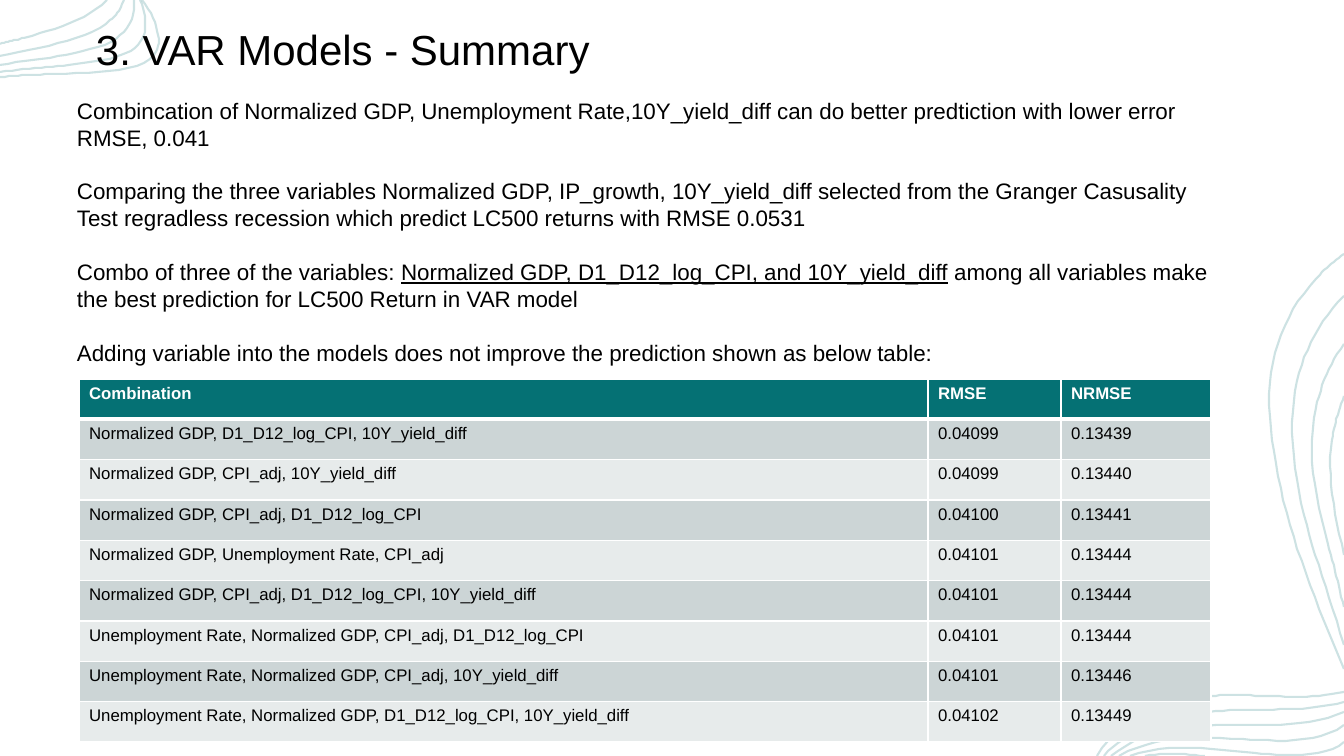
import dataclasses

import pptx
import pptx.dml.color
import pptx.enum.text
import pptx.oxml
import pptx.oxml.ns
import pptx.util


@dataclasses.dataclass(frozen=True)
class Theme:
    teal: str = "057174"
    black: str = "000000"
    white: str = "FFFFFF"
    bands: tuple = ("CCD5D6", "E7EBEB")
    font: str = "Arial"
    title_size: int = 30
    body_size: int = 16
    table_size: int = 12
    body_line: float = 19.2
    curve_width: float = 1.5
    curve_opacity: int = 20


def color(value):
    return pptx.dml.color.RGBColor.from_string(value)


def curve_points(knots, steps=12):
    """Sample a chain of cubic curves: a start, then two handles and an end each."""
    points = [knots[0]]
    for first in range(0, len(knots) - 1, 3):
        a, b, c, d = knots[first:first + 4]
        for step in range(1, steps + 1):
            t = step / steps
            u = 1 - t
            points.append(tuple(
                u ** 3 * a[k] + 3 * u * u * t * b[k] + 3 * u * t * t * c[k] + t ** 3 * d[k]
                for k in (0, 1)))
    return points


class SlideBuilder:
    SCALE = 914400 / 100.8

    def __init__(self, page, theme):
        self.page = page
        self.theme = theme

    @classmethod
    def emu(cls, length):
        return pptx.util.Emu(round(length * cls.SCALE))

    def style(self, font, size, ink, **extra):
        values = {"name": self.theme.font, "size": pptx.util.Pt(size), **extra}
        for name, value in values.items():
            setattr(font, name, value)
        font.color.rgb = color(ink)

    def curves(self, strands):
        """Draw several open curves as one outline."""
        builder = None
        for knots in strands:
            start, *rest = curve_points(knots)
            if builder is None:
                builder = self.page.shapes.build_freeform(*start, scale=self.SCALE)
            else:
                builder.move_to(*start)
            builder.add_line_segments(rest, close=False)
        shape = builder.convert_to_shape()
        shape.shadow.inherit = False
        shape.fill.background()
        shape.line.width = pptx.util.Pt(self.theme.curve_width)
        shape.line.color.rgb = color(self.theme.teal)
        ink = shape.line._ln.find(".//" + pptx.oxml.ns.qn("a:srgbClr"))
        ink.append(pptx.oxml.parse_xml(
            f'<a:alpha {pptx.oxml.ns.nsdecls("a")} val="{self.theme.curve_opacity * 1000}"/>'))

    def text(self, area, paragraphs, size, frame_format, para_format):
        """Each paragraph is a list of (words, underlined) spans."""
        box = self.page.shapes.add_textbox(*map(self.emu, area))
        frame = box.text_frame
        for name, value in {"word_wrap": True, **frame_format}.items():
            setattr(frame, name, value)
        for index, spans in enumerate(paragraphs):
            para = frame.add_paragraph() if index else frame.paragraphs[0]
            for name, value in para_format.items():
                if index or name != "space_before":
                    setattr(para, name, value)
            for words, underlined in spans:
                span = para.add_run()
                span.text = words
                self.style(span.font, size, self.theme.black, underline=underlined)

    def borders(self, cell, widths):
        properties = cell._tc.get_or_add_tcPr()
        for index, (side, points) in enumerate(widths.items()):
            properties.insert(index, pptx.oxml.parse_xml(
                f'<a:ln{side} {pptx.oxml.ns.nsdecls("a")} w="{points * 12700}">'
                f'<a:solidFill><a:srgbClr val="{self.theme.white}"/></a:solidFill></a:ln{side}>'))

    def table(self, area, column_widths, rows):
        grid = self.page.shapes.add_table(
            len(rows), len(column_widths), *map(self.emu, area)).table
        grid.horz_banding = False
        for column, width in zip(grid.columns, column_widths):
            column.width = self.emu(width)
        for r, values in enumerate(rows):
            header = r == 0
            grid.rows[r].height = self.emu(area[3] / len(rows))
            fill = self.theme.teal if header else self.theme.bands[(r - 1) % 2]
            ink = self.theme.white if header else self.theme.black
            widths = {"L": 1, "R": 1, "T": 3 if r == 1 else 1, "B": 3 if header else 1}
            for c, value in enumerate(values):
                cell = grid.cell(r, c)
                cell.fill.solid()
                cell.fill.fore_color.rgb = color(fill)
                self.borders(cell, widths)
                span = cell.text_frame.paragraphs[0].add_run()
                span.text = value
                self.style(span.font, self.theme.table_size, ink, bold=header)


TOP_LEFT_CURVES = [
    [(0, 44), (8, 42), (16, 40), (24, 38), (55, 29), (88, 20), (107, 0)],
    [(142, 0), (155, 18), (162, 36), (157, 50), (149, 72), (98, 73), (54, 74),
     (36, 75), (18, 75), (0, 77)],
    [(140, 0), (147, 16), (148, 33), (138, 45), (126, 58), (97, 62), (69, 65),
     (47, 67), (23, 69), (0, 72)],
    [(134, 0), (135, 20), (127, 38), (98, 47), (68, 57), (32, 59), (0, 65)],
    [(124, 0), (121, 9), (115, 17), (106, 24), (82, 42), (38, 47), (0, 56)],
]

BOTTOM_RIGHT_CURVES = [
    [(1344, 396), (1338, 412), (1334, 426), (1332, 440), (1327, 474), (1334, 512), (1344, 555)],
    [(1344, 344), (1330, 363), (1321, 385), (1316, 408), (1307, 449), (1314, 495), (1328, 544),
     (1334, 566), (1339, 586), (1344, 607)],
    [(1344, 296), (1321, 320), (1305, 348), (1297, 381), (1288, 420), (1292, 467), (1304, 515),
     (1314, 553), (1329, 597), (1344, 645)],
    [(1344, 254), (1333, 262), (1324, 270), (1316, 279), (1290, 307), (1274, 342), (1270, 383),
     (1267, 426), (1276, 475), (1290, 525), (1304, 572), (1324, 621), (1344, 669)],
    [(1344, 692), (1320, 698), (1293, 697), (1265, 696), (1245, 695), (1225, 695), (1206, 696),
     (1156, 700), (1115, 725), (1097, 756)],
    [(1344, 702), (1315, 710), (1288, 709), (1259, 710), (1230, 710), (1202, 711), (1176, 717),
     (1147, 723), (1121, 737), (1104, 756)],
    [(1344, 712), (1314, 727), (1268, 725), (1228, 725), (1180, 725), (1138, 733), (1111, 756)],
    [(1344, 725), (1317, 745), (1275, 741), (1243, 739), (1198, 737), (1152, 736), (1119, 756)],
    [(1344, 742), (1325, 758), (1281, 756), (1255, 753), (1212, 748), (1166, 743), (1130, 756)],
    [(1145, 756), (1164, 753), (1185, 754), (1205, 756)],
]

FINDINGS = [
    [("Combincation of Normalized GDP, Unemployment Rate,10Y_yield_diff can do better "
      "predtiction with lower error RMSE, 0.041", False)],
    [("Comparing the three variables Normalized GDP, IP_growth, 10Y_yield_diff selected from "
      "the Granger Casusality Test regradless recession which predict LC500 returns with "
      "RMSE 0.0531", False)],
    [("Combo of three of the variables: ", False),
     ("Normalized GDP, D1_D12_log_CPI, and 10Y_yield_diff", True),
     (" among all variables make the best prediction for LC500 Return in VAR model", False)],
    [("Adding variable into the models does not improve the prediction shown as below table:",
      False)],
]

SCORES = [
    ("Combination", "RMSE", "NRMSE"),
    ("Normalized GDP, D1_D12_log_CPI, 10Y_yield_diff", "0.04099", "0.13439"),
    ("Normalized GDP, CPI_adj, 10Y_yield_diff", "0.04099", "0.13440"),
    ("Normalized GDP, CPI_adj, D1_D12_log_CPI", "0.04100", "0.13441"),
    ("Normalized GDP, Unemployment Rate, CPI_adj", "0.04101", "0.13444"),
    ("Normalized GDP, CPI_adj, D1_D12_log_CPI, 10Y_yield_diff", "0.04101", "0.13444"),
    ("Unemployment Rate, Normalized GDP, CPI_adj, D1_D12_log_CPI", "0.04101", "0.13444"),
    ("Unemployment Rate, Normalized GDP, CPI_adj, 10Y_yield_diff", "0.04101", "0.13446"),
    ("Unemployment Rate, Normalized GDP, D1_D12_log_CPI, 10Y_yield_diff", "0.04102", "0.13449"),
]


def main():
    theme = Theme()
    deck = pptx.Presentation()
    deck.slide_width = SlideBuilder.emu(1344)
    deck.slide_height = SlideBuilder.emu(756)
    builder = SlideBuilder(deck.slides.add_slide(deck.slide_layouts[6]), theme)

    # Corner decoration
    builder.curves(TOP_LEFT_CURVES)
    builder.curves(BOTTOM_RIGHT_CURVES)

    # Title
    builder.text((74, 16, 1196, 72), [[("3. VAR Models - Summary", False)]], theme.title_size,
                 {"vertical_anchor": pptx.enum.text.MSO_ANCHOR.MIDDLE,
                  "margin_left": builder.emu(22)},
                 {"line_spacing": 0.9})

    # Findings, one empty line apart
    line = pptx.util.Pt(theme.body_line)
    builder.text((67, 92, 1169, 479), FINDINGS, theme.body_size, {},
                 {"line_spacing": line, "space_before": line})

    # Model scores
    builder.table((79, 379, 1132, 363), (849, 133, 150), SCORES)
    deck.save("out.pptx")


if __name__ == "__main__":
    main()
